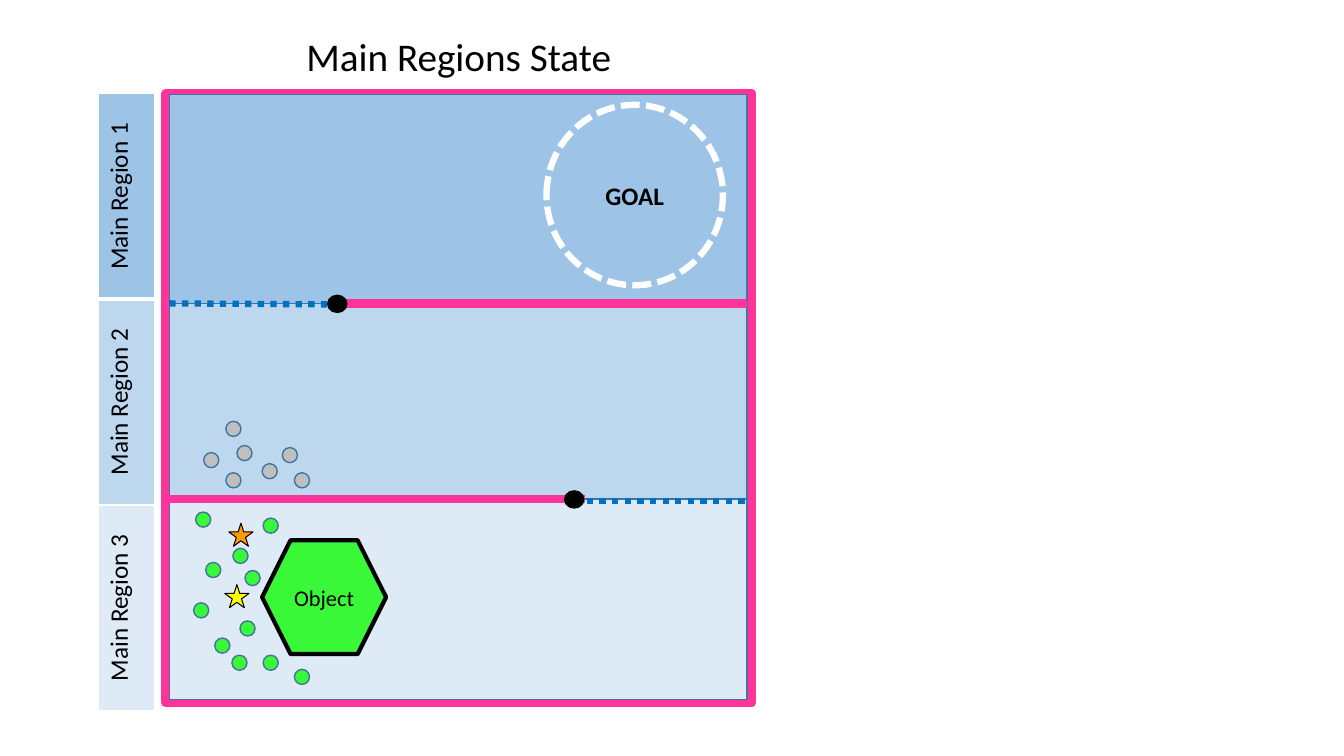
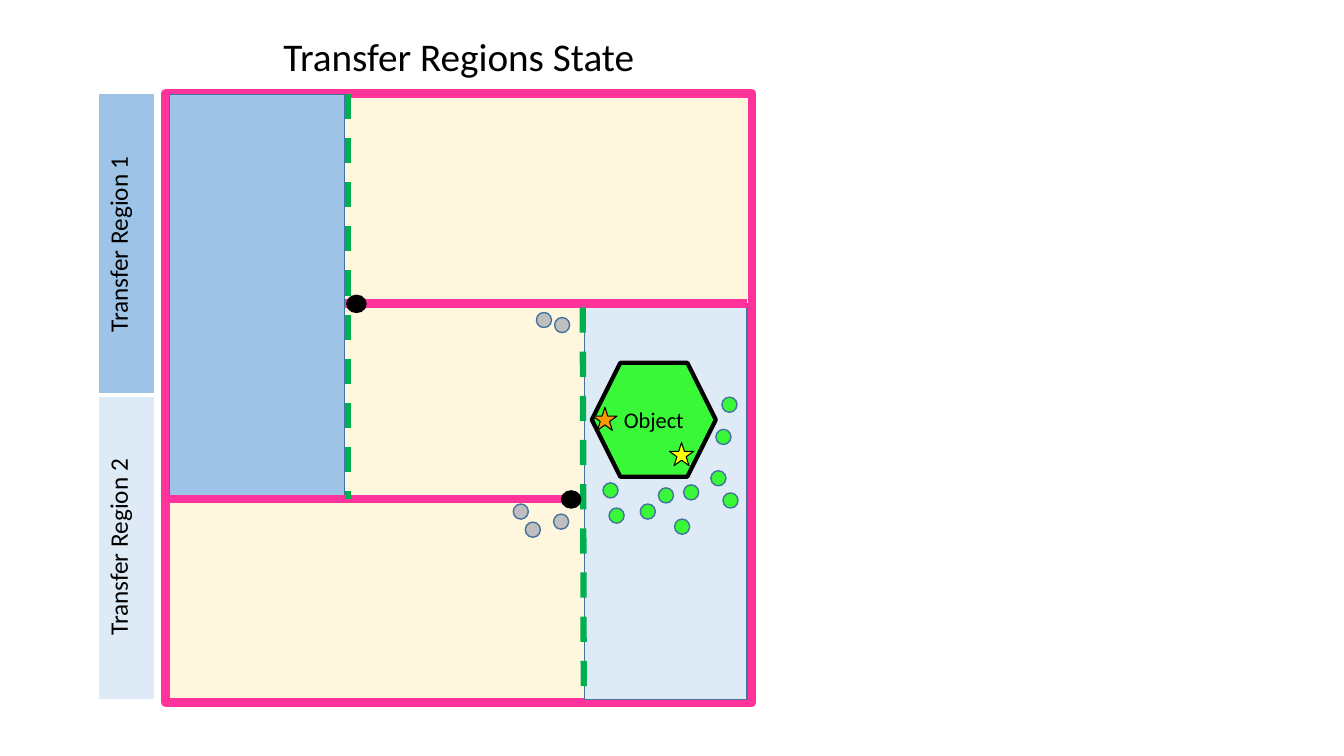
"""Build two slides showing the main and the transfer regions of a game board."""
from dataclasses import dataclass

from lxml.etree import SubElement
from pptx import Presentation
from pptx.dml.color import RGBColor
from pptx.enum.dml import MSO_LINE_DASH_STYLE as Dash
from pptx.enum.shapes import MSO_CONNECTOR as Link, MSO_SHAPE as Shape
from pptx.enum.text import MSO_ANCHOR as Anchor, PP_ALIGN as Align
from pptx.oxml.ns import qn
from pptx.util import Inches, Pt


@dataclass(frozen=True)
class Theme:
    font: str = "Calibri"
    title: int = 28
    label: int = 18
    body: int = 16
    ink: str = "000000"
    white: str = "FFFFFF"
    wall: str = "FF3399"
    deep: str = "9DC3E6"
    middle: str = "BDD7EE"
    pale: str = "DEEBF7"
    cream: str = "FFF7DD"
    outline: str = "43739E"
    gate: str = "0070C0"
    border: str = "00B050"
    green: str = "38F838"
    grey: str = "BFBFBF"
    orange: str = "FF9900"
    yellow: str = "FFFF00"


THEME = Theme()
COLUMNS, ROWS = 13.33, 7.5
CELL = Inches(1)
LABEL_LEFT, LABEL_WIDTH = 0.98, 0.55
LEFT, INNER_LEFT, GATE_LEFT, GATE_RIGHT, INNER_RIGHT = 1.64, 1.68, 3.42, 5.8, 7.41
TOP, INNER_TOP, WALL_TOP, WALL_LOW, INNER_BOTTOM = 0.93, 0.94, 3.01, 4.95, 6.94
BOARD_WIDTH, BOARD_HEIGHT = 5.82, 6.04
BOTTOM = TOP + BOARD_HEIGHT
TITLE_TOP, TITLE_HEIGHT = 0.29, 0.57
DOT = 0.15
STAR = (0.24, 0.23)
PIVOT = (0.19, 0.17)
HEXAGON = (1.23, 1.13)


def grid(*lengths):
    """Turn grid columns and rows into slide lengths."""
    return [round(length * CELL) for length in lengths]


def paint(target, color):
    """Fill a shape or cell, or clear its fill."""
    if color:
        target.fill.solid()
        target.fill.fore_color.rgb = RGBColor.from_string(color)
    else:
        target.fill.background()


def stroke(line, color, width, dash=None):
    """Style a line or an outline."""
    line.color.rgb = RGBColor.from_string(color)
    line.width = Pt(width)
    if dash:
        line.dash_style = dash


def write(frame, words, size, bold=False):
    """Put one centred paragraph in a text frame."""
    para = frame.paragraphs[0]
    para.text = words
    para.alignment = Align.CENTER
    para.font.name = THEME.font
    para.font.size = Pt(size)
    para.font.bold = bold
    para.font.color.rgb = RGBColor.from_string(THEME.ink)


def add_figure(page, kind, place, fill, line=THEME.outline, width=1, dash=None):
    """Add a preset shape without shadow."""
    figure = page.shapes.add_shape(kind, *grid(*place))
    figure.shadow.inherit = False
    paint(figure, fill)
    stroke(figure.line, line, width, dash)
    return figure


def add_caption(figure, words, size, bold=False):
    """Centre words inside a shape."""
    figure.text_frame.word_wrap = False
    figure.text_frame.vertical_anchor = Anchor.MIDDLE
    write(figure.text_frame, words, size, bold)


def add_line(page, start, end, color, width, dash=None):
    """Add a straight line without shadow."""
    line = page.shapes.add_connector(Link.STRAIGHT, *grid(*start, *end))
    stroke(line.line, color, width, dash)
    SubElement(line._element.spPr, qn("a:effectLst"))


def add_table(page, place, heights):
    """Add a plain table of one column."""
    table = page.shapes.add_table(len(heights), 1, *grid(*place, sum(heights))).table
    table.first_row = table.horz_banding = False
    for row, height in zip(table.rows, grid(*heights)):
        row.height = height
    return table


def add_title(page, words):
    """Add the heading above the board."""
    cell = add_table(page, (LEFT, TITLE_TOP, BOARD_WIDTH), [TITLE_HEIGHT]).cell(0, 0)
    paint(cell, None)
    cell.vertical_anchor = Anchor.MIDDLE
    write(cell.text_frame, words, THEME.title)


def edge_cell(cell, bottom):
    """Give a cell white borders with its own bottom width."""
    props = cell._tc.get_or_add_tcPr()
    for index, (side, width) in enumerate(zip("LRTB", (1, 1, 1, bottom))):
        edge = SubElement(props, qn(f"a:ln{side}"), w=str(Pt(width)))
        SubElement(SubElement(edge, qn("a:solidFill")), qn("a:srgbClr"), val=THEME.white)
        props.insert(index, edge)


def add_labels(page, word, heights, fills):
    """Add the numbered column of upright region names."""
    table = add_table(page, (LABEL_LEFT, TOP, LABEL_WIDTH), heights)
    for index, fill in enumerate(fills):
        cell = table.cell(index, 0)
        paint(cell, fill)
        cell.vertical_anchor = Anchor.BOTTOM
        cell._tc.get_or_add_tcPr().set("vert", "vert270")
        edge_cell(cell, 1 if index else 3)
        write(cell.text_frame, f"{word} {index + 1}", THEME.label)


def add_board(page, fill, regions):
    """Add the frame, its regions and the two inner walls."""
    add_figure(page, Shape.RECTANGLE, (LEFT, TOP, BOARD_WIDTH, BOARD_HEIGHT), fill, THEME.wall, 6)
    for left, top, right, bottom, color in regions:
        add_figure(page, Shape.RECTANGLE, (left, top, right - left, bottom - top), color)
    add_line(page, (GATE_LEFT, WALL_TOP), (INNER_RIGHT, WALL_TOP), THEME.wall, 6)
    add_line(page, (LEFT, WALL_LOW), (GATE_RIGHT, WALL_LOW), THEME.wall, 6)


def add_pivots(page, lefts):
    """Add the black wall ends."""
    for left, wall in zip(lefts, (WALL_TOP, WALL_LOW)):
        add_figure(page, Shape.OVAL, (left, wall - 0.08, *PIVOT), THEME.ink, THEME.ink)


def add_object(page, left, top):
    """Add the hexagon that is moved."""
    figure = add_figure(page, Shape.HEXAGON, (left, top, *HEXAGON), THEME.green, THEME.ink, 3)
    add_caption(figure, "Object", THEME.body)


def add_dots(page, color, spots):
    """Scatter small round markers."""
    for left, top in spots:
        add_figure(page, Shape.OVAL, (left, top, DOT, DOT), color)


def add_stars(page, orange, yellow):
    """Add the two star markers."""
    for spot, color in ((orange, THEME.orange), (yellow, THEME.yellow)):
        add_figure(page, Shape.STAR_5_POINT, (*spot, *STAR), color, THEME.ink, 0.75)


def build_main_regions(page):
    """Build the slide with three stacked main regions."""
    bands = ((WALL_LOW, INNER_BOTTOM, THEME.pale), (WALL_TOP, WALL_LOW, THEME.middle),
             (INNER_TOP, WALL_TOP, THEME.deep))
    add_board(page, None, [(INNER_LEFT, top, INNER_RIGHT, bottom, color)
                           for top, bottom, color in bands])
    add_line(page, (INNER_LEFT, WALL_TOP), (3.25, 3.02), THEME.gate, 4.5, Dash.ROUND_DOT)
    add_line(page, (5.82, 4.97), (7.39, 4.97), THEME.gate, 4.5, Dash.ROUND_DOT)
    add_pivots(page, (3.25, 5.6))
    add_object(page, 2.6, 5.36)
    add_dots(page, THEME.green, [
        (2.31, 5.44), (2.04, 5.58), (2.43, 5.66), (2.38, 6.16), (2.13, 6.33), (2.3, 6.5),
        (2.61, 6.5), (1.92, 5.98), (1.94, 5.08), (2.61, 5.14), (2.92, 6.64)])
    add_dots(page, THEME.grey, [
        (2.24, 4.18), (2.6, 4.6), (2.02, 4.49), (2.24, 4.69), (2.92, 4.69), (2.8, 4.44),
        (2.35, 4.42)])
    goal = add_figure(page, Shape.OVAL, (5.42, 1.04, 1.75, 1.79), None, THEME.white, 4.5,
                      Dash.SQUARE_DOT)
    add_caption(goal, "GOAL", THEME.label, True)
    add_stars(page, (2.27, 5.19), (2.23, 5.8))
    add_labels(page, "Main Region", [2.04] * 3, (THEME.deep, THEME.middle, THEME.pale))
    add_title(page, "Main Regions State")


def build_transfer_regions(page):
    """Build the slide with two upright transfer regions."""
    add_board(page, THEME.cream, [
        (GATE_RIGHT, WALL_TOP, INNER_RIGHT, INNER_BOTTOM, THEME.pale),
        (INNER_LEFT, INNER_TOP, GATE_LEFT, WALL_LOW, THEME.deep)])
    add_line(page, (3.45, TOP), (3.45, WALL_LOW), THEME.border, 4.5, Dash.DASH)
    add_line(page, (5.78, 3.05), (5.79, BOTTOM), THEME.border, 4.5, Dash.DASH)
    add_pivots(page, (3.44, 5.57))
    add_object(page, 5.87, 3.6)
    add_dots(page, THEME.green, [
        (7.05, 4.67), (6.78, 4.81), (7.17, 4.89), (6.53, 4.84), (5.98, 4.79), (6.35, 5),
        (6.69, 5.15), (6.04, 5.04), (7.16, 3.94), (7.1, 4.26)])
    add_dots(page, THEME.grey, [(5.09, 5), (5.32, 3.1), (5.21, 5.18), (5.49, 5.1), (5.5, 3.15)])
    add_stars(page, (5.88, 4.04), (6.64, 4.39))
    add_labels(page, "Transfer Region", [2.99, 3.02], (THEME.deep, THEME.pale))
    add_title(page, "Transfer Regions State")


def main():
    """Build and save the deck."""
    deck = Presentation()
    deck.slide_width, deck.slide_height = grid(COLUMNS, ROWS)
    for build in (build_main_regions, build_transfer_regions):
        build(deck.slides.add_slide(deck.slide_layouts[6]))
    deck.save("out.pptx")


if __name__ == "__main__":
    main()
